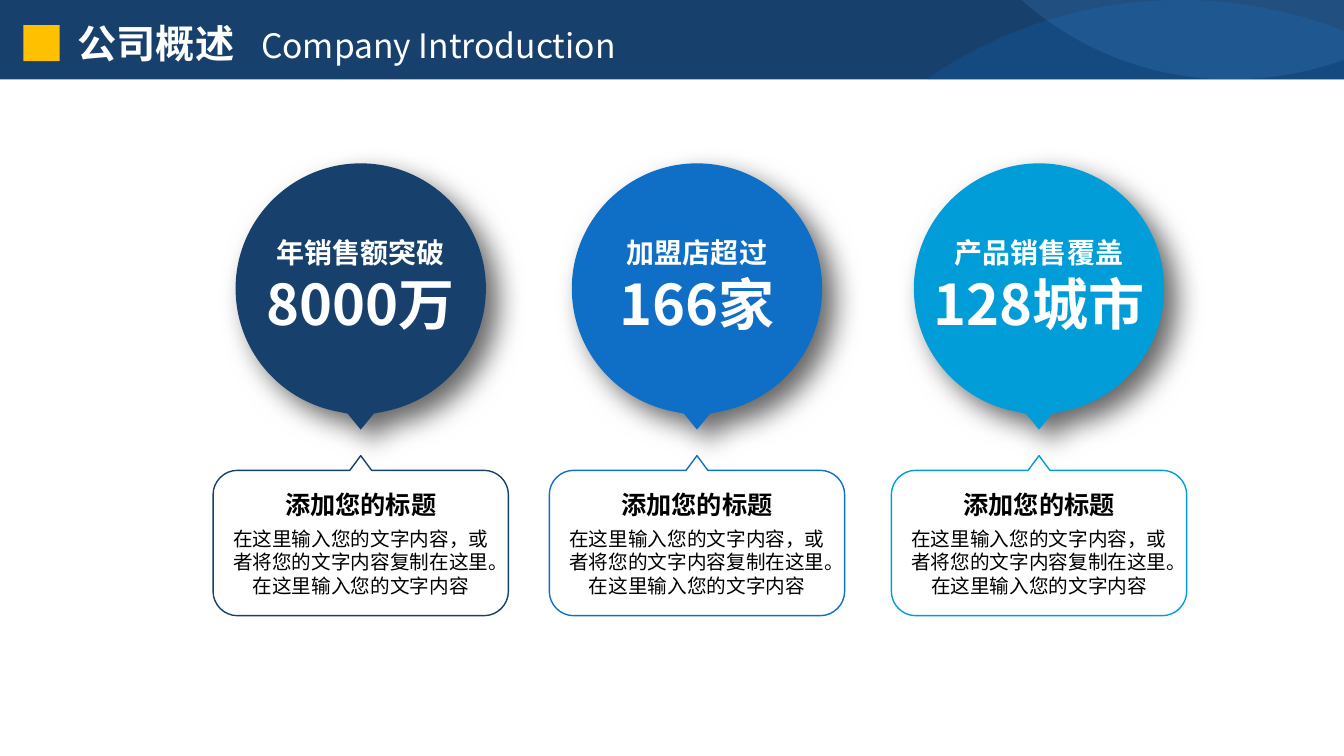
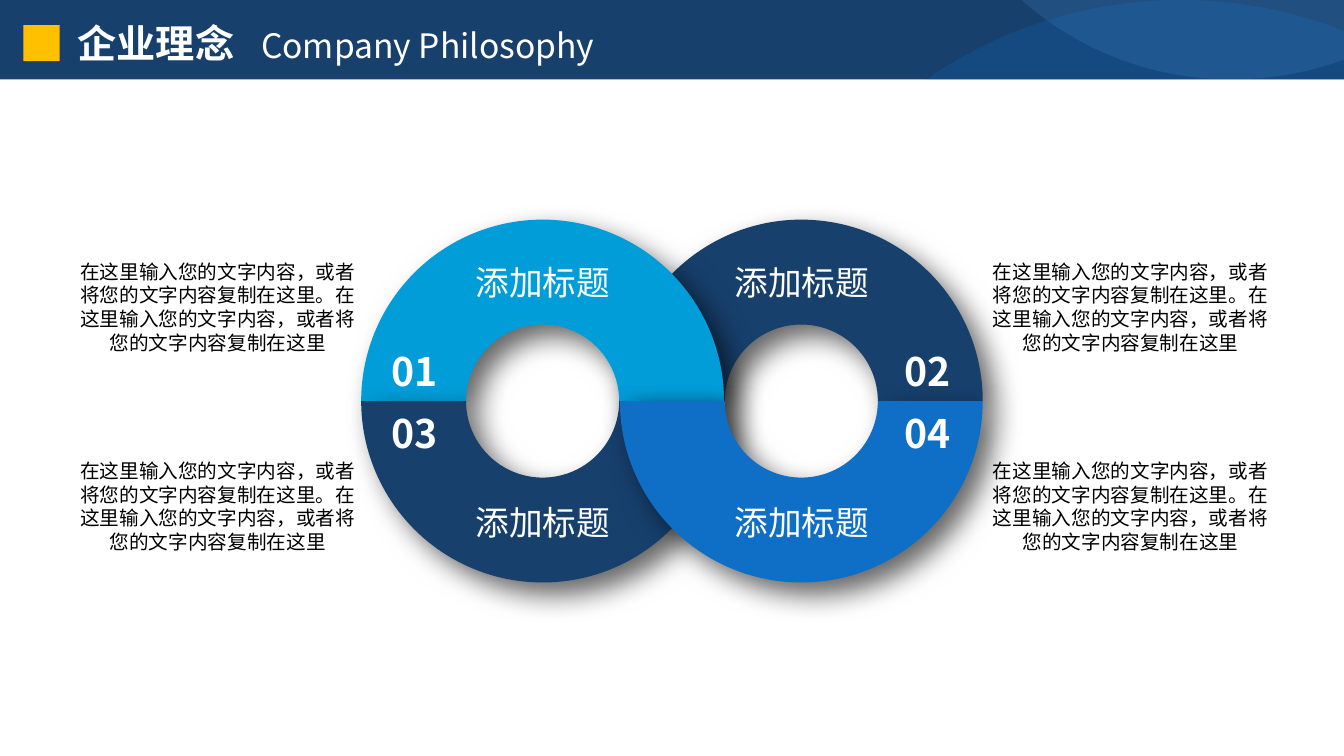
from dataclasses import dataclass
from itertools import chain

from lxml import etree
from pptx import Presentation
from pptx.dml.color import RGBColor
from pptx.enum.shapes import MSO_SHAPE
from pptx.enum.text import MSO_ANCHOR, MSO_AUTO_SIZE, PP_ALIGN
from pptx.oxml.ns import qn
from pptx.util import Emu, Pt

RECTANGLE = MSO_SHAPE.RECTANGLE
BLOCK_ARC = MSO_SHAPE.BLOCK_ARC
TOP = MSO_ANCHOR.TOP
FIT_SHAPE = MSO_AUTO_SIZE.SHAPE_TO_FIT_TEXT
LEFT = PP_ALIGN.LEFT
CENTER = PP_ALIGN.CENTER

COLUMNS, ROWS = 160, 90
CELL = 76200
TITLE_ONLY = 5
ROUNDNESS = 0.55


@dataclass(frozen=True)
class Theme:
    font: str = "Noto Sans CJK SC"
    navy: str = "17406D"
    blue: str = "0F6FC6"
    cyan: str = "009DD9"
    pale: str = "59AAF2"
    accent: str = "FFC000"
    white: str = "FFFFFF"
    black: str = "000000"
    figure_size: int = 40
    title_size: int = 28
    subtitle_size: int = 24
    label_size: int = 20
    heading_size: int = 18
    body_size: int = 14


THEME = Theme()


def cells(count):
    return Emu(round(count * CELL))


def line(*point):
    return [point]


def curve(*points):
    return list(points)


def corner(start, bend, end):
    controls = [
        tuple(a + (b - a) * ROUNDNESS for a, b in zip(point, bend)) for point in (start, end)
    ]
    return curve(*controls, end)


class SlideBuilder:
    header_height = 9.45

    def __init__(self, theme):
        self.theme = theme
        self.deck = Presentation()
        self.deck.slide_width = cells(COLUMNS)
        self.deck.slide_height = cells(ROWS)
        self.slide = None

    def start_slide(self, title, subtitle):
        self.slide = self.deck.slides.add_slide(self.deck.slide_layouts[TITLE_ONLY])
        self.header()
        self.title(title, subtitle)

    def header(self):
        theme, bottom = self.theme, self.header_height
        self.shape(RECTANGLE, 0, 0, COLUMNS, bottom, theme.navy)
        hill = [
            curve((147.4, 0), (154, 1.3), (COLUMNS, 3.7)),
            line(COLUMNS, bottom),
            line(110.3, bottom),
            curve((118.9, 3.5), (129.4, 0), (140.5, 0)),
        ]
        self.outline((140.5, 0), hill, fill=theme.blue, opacity=23)
        bowl = [
            line(COLUMNS, 7.1),
            curve((155.9, 8.6), (151.3, bottom), (146.6, bottom)),
            curve((137, bottom), (128.3, 5.9), (121.6, 0)),
            line(COLUMNS, 0),
        ]
        self.outline((COLUMNS, 0), bowl, fill=theme.pale, opacity=15)
        self.shape(RECTANGLE, 2.8, 3, 4.3, 4.3, theme.accent)

    def title(self, title, subtitle):
        box = self.slide.shapes.title
        self.slide.shapes._spTree.append(box._element)
        box.left, box.top, box.width, box.height = map(cells, (8.04, 1.7, 87.2, 6.84))
        self.frame(box, 1.2, 0.6)
        para = box.text_frame.paragraphs[0]
        para.text = title
        tabs = etree.SubElement(para._p.get_or_add_pPr(), qn("a:tabLst"))
        etree.SubElement(tabs, qn("a:tab"), pos=str(cells(21.85)), algn="l")
        para.alignment = LEFT
        para.add_run().text = "\t" + subtitle
        main, second = para.runs
        self.style(main, self.theme.title_size, self.theme.white, True)
        self.style(second, self.theme.subtitle_size, self.theme.white, False)

    def frame(self, box, side, edge):
        frame = box.text_frame
        frame.word_wrap = True
        frame.auto_size = FIT_SHAPE
        frame.vertical_anchor = TOP
        frame.margin_left = frame.margin_right = cells(side)
        frame.margin_top = frame.margin_bottom = cells(edge)

    def style(self, span, size, color, bold):
        span.font.size = Pt(size)
        span.font.bold = bold
        span.font.color.rgb = RGBColor.from_string(color)
        span.font.name = self.theme.font
        etree.SubElement(span._r.get_or_add_rPr(), qn("a:ea"), typeface=self.theme.font)

    def text(self, center, top, width, height, lines, color, bold=False, side=1.2, edge=0.6):
        box = self.slide.shapes.add_textbox(
            *map(cells, (center - width / 2, top, width, height))
        )
        self.frame(box, side, edge)
        box.text_frame.text = "\n".join(wording for wording, size in lines)
        for para, (wording, size) in zip(box.text_frame.paragraphs, lines):
            para.alignment = CENTER
            self.style(para.runs[0], size, color, bold)

    def paint(self, shape, fill=None, stroke=None, opacity=None, shadow=False):
        shape.shadow.inherit = False
        if fill:
            shape.fill.solid()
            shape.fill.fore_color.rgb = RGBColor.from_string(fill)
        else:
            shape.fill.background()
        if stroke:
            shape.line.color.rgb = RGBColor.from_string(stroke)
            shape.line.width = Pt(1)
        else:
            shape.line.fill.background()
        properties = shape._element.spPr
        if opacity:
            color = properties.find(".//" + qn("a:srgbClr"))
            etree.SubElement(color, qn("a:alpha"), val=str(opacity * 1000))
        if shadow:
            outer = etree.SubElement(
                properties.find(qn("a:effectLst")), qn("a:outerShdw"),
                blurRad=str(Pt(20)), dist=str(Pt(12)), dir="2700000",
                algn="tl", rotWithShape="0",
            )
            color = etree.SubElement(outer, qn("a:srgbClr"), val=self.theme.black)
            etree.SubElement(color, qn("a:alpha"), val="60000")

    def shape(self, kind, left, top, width, height, fill, shadow=False):
        shape = self.slide.shapes.add_shape(kind, *map(cells, (left, top, width, height)))
        self.paint(shape, fill, shadow=shadow)
        return shape

    def outline(self, start, segments, **look):
        builder = self.slide.shapes.build_freeform(*map(cells, start), scale=1.0)
        points = [(cells(x), cells(y)) for x, y in chain.from_iterable(segments)]
        builder.add_line_segments(points, close=True)
        shape = builder.convert_to_shape()
        steps = iter(shape._element.findall(".//" + qn("a:lnTo")))
        for segment in segments:
            first, *others = [next(steps) for point in segment]
            if others:
                first.tag = qn("a:cubicBezTo")
            for step in others:
                first.append(step[0])
                step.getparent().remove(step)
        self.paint(shape, **look)

    def bubble(self, center, color):
        middle, radius, tip = 34.35, 14.9, 16.8
        top, bottom = middle - radius, middle + radius
        left, right = center - radius, center + radius
        segments = [
            corner((center, top), (right, top), (right, middle)),
            curve((right, middle + 7.2), (center + 9.8, middle + 13.2), (center + 3, middle + 14.6)),
            line(center + 1.56, bottom),
            line(center, middle + tip),
            line(center - 1.56, bottom),
            line(center - 3, middle + 14.6),
            curve((center - 9.8, middle + 13.2), (left, middle + 7.2), (left, middle)),
            corner((left, middle), (left, top), (center, top)),
        ]
        self.outline((center, top), segments, fill=color, shadow=True)

    def callout(self, center, color):
        tip, top, bottom, half, radius, notch = 54.25, 56, 73.3, 17.58, 2.9, 1.3
        left, right = center - half, center + half
        segments = [
            line(center + notch, top),
            line(right - radius, top),
            corner((right - radius, top), (right, top), (right, top + radius)),
            line(right, bottom - radius),
            corner((right, bottom - radius), (right, bottom), (right - radius, bottom)),
            line(left + radius, bottom),
            corner((left + radius, bottom), (left, bottom), (left, bottom - radius)),
            line(left, top + radius),
            corner((left, top + radius), (left, top), (left + radius, top)),
            line(center - notch, top),
        ]
        self.outline((center, tip), segments, stroke=color)

    def half_ring(self, left, upper, color):
        ring = self.shape(BLOCK_ARC, left, 26.15, 43.2, 43.2, color, shadow=True)
        start, end = (108, 0) if upper else (0, 108)
        for index, value in enumerate((start, end, 0.289)):
            ring.adjustments[index] = value


def company_introduction(builder):
    theme = builder.theme
    builder.start_slide("公司概述", "Company Introduction")
    facts = (
        (42.95, theme.navy, "年销售额突破", "8000万"),
        (82.98, theme.blue, "加盟店超过", "166家"),
        (123.7, theme.cyan, "产品销售覆盖", "128城市"),
    )
    body = "在这里输入您的文字内容，或者将您的文字内容复制在这里。在这里输入您的文字内容"
    for center, color, label, figure in facts:
        builder.bubble(center, color)
        builder.callout(center, color)
        lines = [(label, theme.label_size), (figure, theme.figure_size)]
        builder.text(center, 28.03, 30, 12.1, lines, theme.white, True, side=0, edge=0)
        heading = [("添加您的标题", theme.heading_size)]
        builder.text(center, 57.67, 29.3, 4.8, heading, theme.black, True)
        builder.text(center, 62.12, 34.7, 9.7, [(body, theme.body_size)], theme.black)


def company_philosophy(builder):
    theme = builder.theme
    builder.start_slide("企业理念", "Company Philosophy")
    left_ring, right_ring = 43, 73.8
    for left, upper, color in (
        (right_ring, True, theme.navy),
        (left_ring, True, theme.cyan),
        (left_ring, False, theme.navy),
        (right_ring, False, theme.blue),
    ):
        builder.half_ring(left, upper, color)
    note = "在这里输入您的文字内容，或者将您的文字内容复制在这里。" * 2
    note = note.removesuffix("。")
    sides = ((64.6, 49.4, 25.93), (95.45, 110.42, 134.6))
    rows = ((30.6, 40.8, 30.35), (59.2, 48.1, 54.07))
    for row, (title_top, number_top, note_top) in enumerate(rows):
        for side, (title_center, number_center, note_center) in enumerate(sides):
            number = f"{row * 2 + side + 1:02d}"
            builder.text(number_center, number_top, 8.3, 6.84,
                         [(number, theme.title_size)], theme.white, True)
            builder.text(title_center, title_top, 29, 6,
                         [("添加标题", theme.subtitle_size)], theme.white)
            builder.text(note_center, note_top, 35.65, 12.5,
                         [(note, theme.body_size)], theme.black)


def main():
    builder = SlideBuilder(THEME)
    company_introduction(builder)
    company_philosophy(builder)
    builder.deck.save("out.pptx")


if __name__ == "__main__":
    main()
